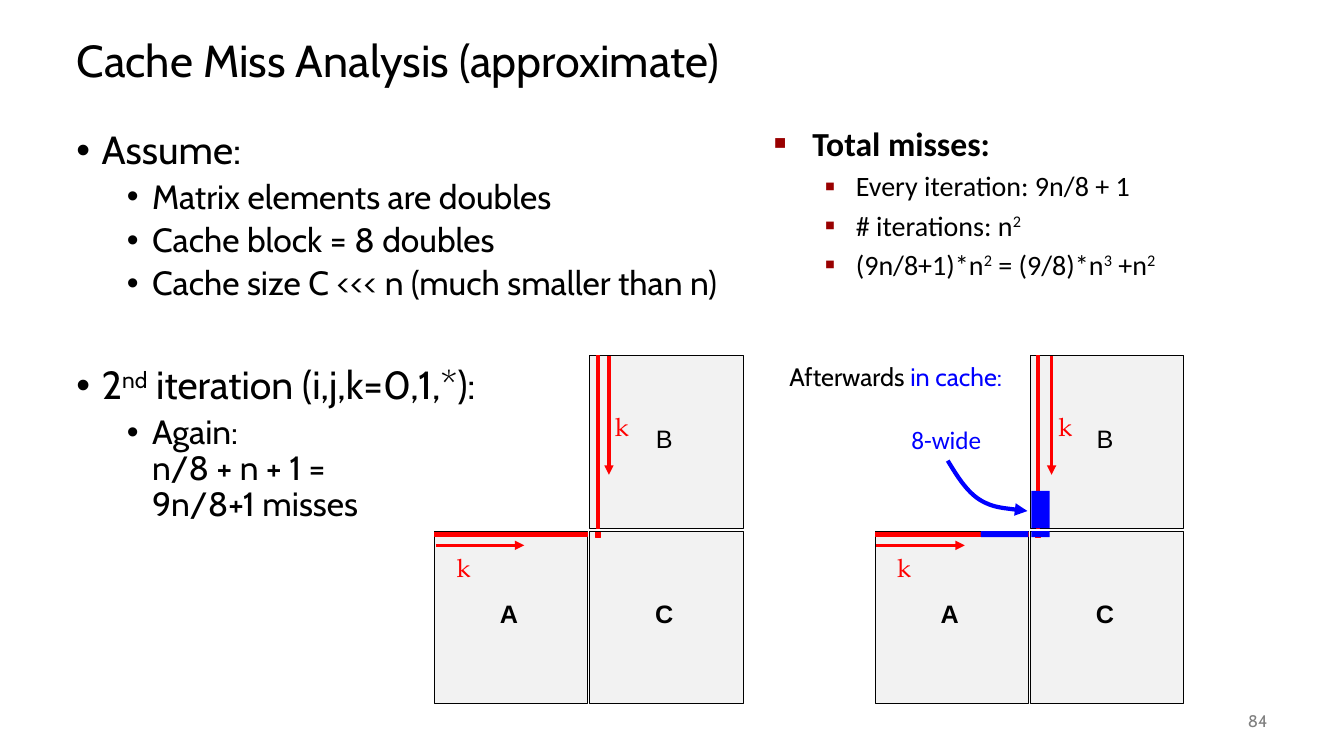
from dataclasses import dataclass
from lxml import etree
from pptx import Presentation
from pptx import util as u
from pptx.dml.color import RGBColor
from pptx.enum import shapes, text
from pptx.oxml import ns


@dataclass(frozen=True)
class Theme:
    black: str = "000000"
    red: str = "FF0000"
    blue: str = "0000FF"
    matrix: str = "F2F2F2"
    gray: str = "808080"
    bullet: str = "990000"
    main: str = "Cabin"
    aside: str = "Calibri"
    label: str = "Arial"
    index: str = "TeX Gyre Pagella"
    title: int = 32
    heading: int = 28
    item: int = 24
    detail: int = 20
    note: int = 18
    number: int = 12


T = Theme()
TITLE = "Cache Miss Analysis (approximate)"
ASSUMPTIONS = [
    (0, "Assume:", 0),
    (1, "Matrix elements are doubles", 5),
    (1, "Cache block = 8 doubles", 5),
    (1, "Cache size C <<< n (much smaller than n)", 5),
    (0, "2^nd^ iteration (i,j,k=0,1,*):", 45),
    (1, "Again:\nn/8 + n + 1 =\n9n/8+1 misses", 5),
]
TOTALS = [
    (0, "Total misses:", 0),
    (1, "Every iteration: 9n/8 + 1", 4),
    (1, "# iterations: n^2^", 4),
    (1, "(9n/8+1)*n^2^ = (9/8)*n^3^ +n^2^", 4),
]
ASSUMPTION_LEVELS = [
    dict(size=T.heading, bold=False, margin=25, hang=25, char="•", pct=100, color=T.black),
    dict(size=T.item, bold=False, margin=75, hang=25, char="•", pct=100, color=T.black),
]
TOTAL_LEVELS = [
    dict(size=T.item, bold=True, margin=38, hang=38, char="■", pct=60, color=T.bullet),
    dict(size=T.detail, bold=False, margin=81, hang=31, char="▪", pct=110, color=T.bullet),
]
MATRICES = [("A", 0, 1, True), ("B", 1, 0, False), ("C", 1, 1, True)]
DIAGRAMS = [
    dict(x=431, column=161, arrow=173, index=169),
    dict(x=868, column=160, arrow=175, index=172),
]
DIAGRAM_TOP, MATRIX_W, MATRIX_H, GAP_X, GAP_Y = 353, 152, 171, 2, 3
CACHED_BLOCKS = [(973, 527, 47, 6), (1023, 487, 18, 37), (1023, 527, 18, 6)]
POINTER = [(940, 457), (949, 472), (959, 488), (972, 496), (985, 504), (1019, 507), (1019, 507)]


def px(n):
    return u.Emu(n * 9144)


def rgb(color):
    return RGBColor.from_string(color)


def style(r, size, font, color, bold=False):
    r.font.size = u.Pt(size)
    r.font.name = font
    r.font.color.rgb = rgb(color)
    r.font.bold = bold


def add_text(box, content, size, font, color=T.black, anchor=text.MSO_ANCHOR.TOP):
    s = slide.shapes.add_textbox(*map(px, box))
    tf = s.text_frame
    tf.word_wrap = True
    tf.vertical_anchor = anchor
    tf.text = content
    style(tf.paragraphs[0].runs[0], size, font, color)
    return tf.paragraphs[0]


def add_bullet(p, level):
    pPr = p._p.get_or_add_pPr()
    pPr.set("marL", str(px(level["margin"])))
    pPr.set("indent", str(-px(level["hang"])))
    color = etree.SubElement(pPr, ns.qn("a:buClr"))
    etree.SubElement(color, ns.qn("a:srgbClr"), val=level["color"])
    etree.SubElement(pPr, ns.qn("a:buSzPct"), val=str(level["pct"] * 1000))
    etree.SubElement(pPr, ns.qn("a:buFont"), typeface=T.label)
    etree.SubElement(pPr, ns.qn("a:buChar"), char=level["char"])


def add_list(box, items, levels, font, spacing):
    tf = slide.shapes.add_textbox(*map(px, box)).text_frame
    tf.word_wrap = True
    for i, (depth, content, before) in enumerate(items):
        p = tf.add_paragraph() if i else tf.paragraphs[0]
        level = levels[depth]
        p.level = depth
        p.line_spacing = spacing
        p.space_before = u.Pt(before)
        add_bullet(p, level)
        for n, line in enumerate(content.split("\n")):
            if n:
                p.add_line_break()
            for k, part in enumerate(line.split("^")):
                if part:
                    r = p.add_run()
                    r.text = part
                    style(r, level["size"], font, T.black, level["bold"])
                    if k % 2:
                        r._r.get_or_add_rPr().set("baseline", "30000")


def add_rect(box, fill, line=None):
    s = slide.shapes.add_shape(shapes.MSO_SHAPE.RECTANGLE, *map(px, box))
    s.shadow.inherit = False
    s.fill.solid()
    s.fill.fore_color.rgb = rgb(fill)
    if line:
        s.line.color.rgb = rgb(line)
        s.line.width = u.Pt(0.75)
    else:
        s.line.fill.background()
    return s


def set_arrow(s, color, width):
    s.line.color.rgb = rgb(color)
    s.line.width = u.Pt(width)
    etree.SubElement(s.line._get_or_add_ln(), ns.qn("a:tailEnd"), type="triangle")


def add_arrow(*ends):
    s = slide.shapes.add_connector(shapes.MSO_CONNECTOR.STRAIGHT, *map(px, ends))
    set_arrow(s, T.red, 2.25)
    etree.SubElement(s._element.spPr, ns.qn("a:effectLst"))


def add_curve(points):
    builder = slide.shapes.build_freeform(*points[0], scale=px(1))
    builder.add_line_segments(points[1:], close=False)
    s = builder.convert_to_shape()
    s.shadow.inherit = False
    s.fill.background()
    set_arrow(s, T.blue, 3)
    steps = list(s._element.iter(ns.qn("a:lnTo")))
    for i in range(0, len(steps), 3):
        curve = etree.SubElement(steps[i].getparent(), ns.qn("a:cubicBezTo"))
        for step in steps[i:i + 3]:
            curve.append(step[0])
            step.getparent().remove(step)


def add_diagram(x, column, arrow, index):
    for name, col, row, bold in MATRICES:
        left = x + col * (MATRIX_W + GAP_X)
        top = DIAGRAM_TOP + row * (MATRIX_H + GAP_Y)
        s = add_rect((left, top, MATRIX_W, MATRIX_H), T.matrix, T.black)
        tf = s.text_frame
        tf.margin_right, tf.margin_bottom = px(14), px(12)
        tf.vertical_anchor = text.MSO_ANCHOR.MIDDLE
        tf.text = name
        tf.paragraphs[0].alignment = text.PP_ALIGN.CENTER
        style(tf.paragraphs[0].runs[0], T.note, T.label, T.black, bold)
    row_top = DIAGRAM_TOP + MATRIX_H + GAP_Y + 1
    add_rect((x + column, DIAGRAM_TOP, 3, MATRIX_H), T.red, T.red)
    add_rect((x, row_top, MATRIX_W, 4), T.red, T.red)
    add_rect((x + column - 1, row_top, 5, 5), T.red, T.red)
    add_arrow(x + 1, row_top + 13, x + 89, row_top + 13)
    add_arrow(x + arrow, DIAGRAM_TOP, x + arrow, DIAGRAM_TOP + 118)
    for left, top in [(x + 12, row_top + 15), (x + index, DIAGRAM_TOP + 50)]:
        add_text((left, top, 36, 41), "k", T.note, T.index, T.red)


prs = Presentation()
prs.slide_width, prs.slide_height = px(1333), px(750)
slide = prs.slides.add_slide(prs.slide_layouts[6])

p = add_text((66, 25, 1200, 75), TITLE, T.title, T.main, anchor=text.MSO_ANCHOR.MIDDLE)
p.line_spacing = 0.9
add_list((66, 125, 1200, 550), ASSUMPTIONS, ASSUMPTION_LEVELS, T.main, 0.9)
add_list((758, 117, 408, 217), TOTALS, TOTAL_LEVELS, T.aside, 1.0)
p = add_text((1167, 695, 100, 40), "84", T.number, T.main, T.gray, text.MSO_ANCHOR.MIDDLE)
p.alignment = text.PP_ALIGN.RIGHT

for diagram in DIAGRAMS:
    add_diagram(**diagram)
add_text((894, 416, 100, 40), "8-wide", T.note, T.aside, T.blue)
add_curve(POINTER)
for block in CACHED_BLOCKS:
    add_rect(block, T.blue)
p = add_text((773, 354, 249, 40), "Afterwards ", T.note, T.main)
r = p.add_run()
r.text = "in cache:"
style(r, T.note, T.main, T.blue)

prs.save("out.pptx")
